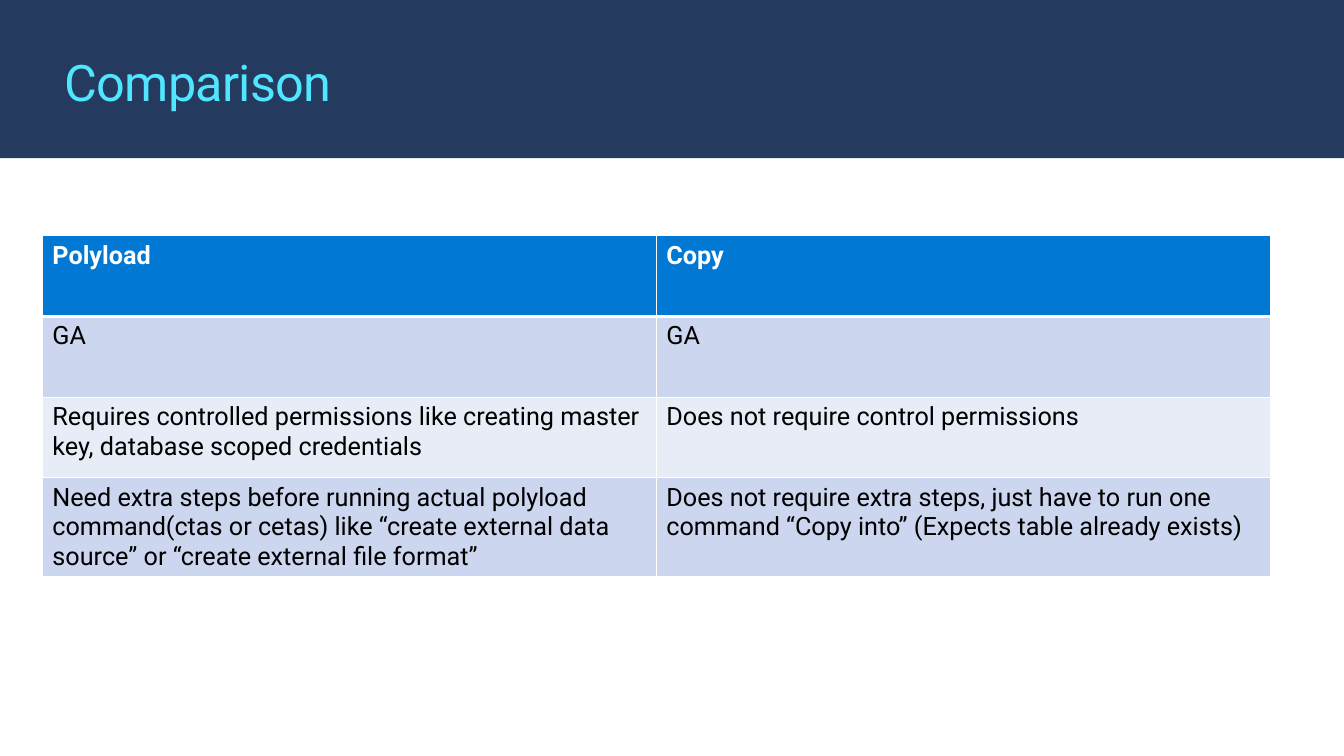
"""Build a slide that compares two data loading methods in a table."""
from dataclasses import dataclass

from lxml import etree
from pptx import Presentation
from pptx import util as u
from pptx.dml.color import RGBColor
from pptx.enum import shapes, text
from pptx.oxml.ns import qn

COMPARISON = [
    ("Polyload", "Copy"),
    ("GA", "GA"),
    ("Requires controlled permissions like creating master key, "
     "database scoped credentials",
     "Does not require control permissions"),
    ("Need extra steps before running actual polyload command(ctas or cetas) "
     "like “create external data source” or “create external file format”",
     "Does not require extra steps, just have to run one command "
     "“Copy into” (Expects table already exists)"),
]


@dataclass(frozen=True)
class Theme:
    font: str = "Roboto"
    band: str = "243A5E"
    title: str = "50E6FF"
    header: str = "0078D4"
    stripes: tuple = ("E7ECF7", "CCD6EF")
    light: str = "FFFFFF"
    dark: str = "000000"
    title_size: int = 36
    title_spacing: float = -0.5
    body_size: int = 18
    rule: int = 1
    header_rule: int = 3


class ComparisonSlide:
    def __init__(self, deck, theme):
        self.theme = theme
        self.page = deck.slides.add_slide(deck.slide_layouts[5])

    def paint(self, fill, color):
        fill.solid()
        fill.fore_color.rgb = RGBColor.from_string(color)

    def format_text(self, frame, size, color, bold=False):
        for para in frame.paragraphs:
            para.alignment = text.PP_ALIGN.LEFT
            for span in para.runs:
                span.font.name = self.theme.font
                span.font.size = u.Pt(size)
                span.font.bold = bold
                span.font.color.rgb = RGBColor.from_string(color)

    def add_band(self, width, height):
        band = self.page.shapes.add_shape(
            shapes.MSO_SHAPE.RECTANGLE, 0, 0, width, height)
        band.shadow.inherit = False
        band.line.fill.background()
        self.paint(band.fill, self.theme.band)
        self.page.shapes.title.element.addprevious(band.element)

    def add_title(self, wording, left, top, width, height):
        box = self.page.shapes.title
        box.left, box.top, box.width, box.height = left, top, width, height
        frame = box.text_frame
        frame.text = wording
        frame.word_wrap = True
        frame.vertical_anchor = text.MSO_ANCHOR.MIDDLE
        frame.margin_left = frame.margin_right = 0
        frame.margin_top = frame.margin_bottom = 0
        self.format_text(frame, self.theme.title_size, self.theme.title)
        for properties in box.element.iter(qn("a:rPr")):
            properties.set("spc", str(int(self.theme.title_spacing * 100)))

    def add_borders(self, cell, above, below):
        properties = cell._tc.get_or_add_tcPr()
        rule = self.theme.rule
        for side, width in zip("LRTB", (rule, rule, above, below)):
            line = etree.SubElement(
                properties, qn(f"a:ln{side}"), w=str(u.Pt(width)))
            fill = etree.SubElement(line, qn("a:solidFill"))
            etree.SubElement(fill, qn("a:srgbClr"), val=self.theme.light)

    def style_row(self, cells, fill, color, bold, above, below):
        for cell in cells:
            self.format_text(cell.text_frame, self.theme.body_size, color, bold)
            self.add_borders(cell, above, below)
            self.paint(cell.fill, fill)

    def add_table(self, rows, left, top, width, row_height):
        theme = self.theme
        table = self.page.shapes.add_table(
            len(rows), len(rows[0]), left, top, width,
            row_height * len(rows)).table
        for index, (row, wordings) in enumerate(zip(table.rows, rows)):
            cells = list(row.cells)
            for cell, wording in zip(cells, wordings):
                cell.text_frame.text = wording
            if index == 0:
                self.style_row(cells, theme.header, theme.light, True,
                               theme.rule, theme.header_rule)
            else:
                above = theme.header_rule if index == 1 else theme.rule
                self.style_row(cells, theme.stripes[index % 2], theme.dark,
                               False, above, theme.rule)


def main():
    deck = Presentation()
    deck.slide_width, deck.slide_height = u.Inches(13.33), u.Inches(7.5)
    slide = ComparisonSlide(deck, Theme())
    slide.add_band(deck.slide_width, u.Inches(1.57))
    slide.add_title("Comparison", u.Inches(0.64), u.Inches(0.5),
                    u.Inches(12.05), u.Inches(0.61))
    slide.add_table(COMPARISON, u.Inches(0.42), u.Inches(2.34),
                    u.Inches(12.18), u.Inches(0.8))
    deck.save("out.pptx")


if __name__ == "__main__":
    main()
